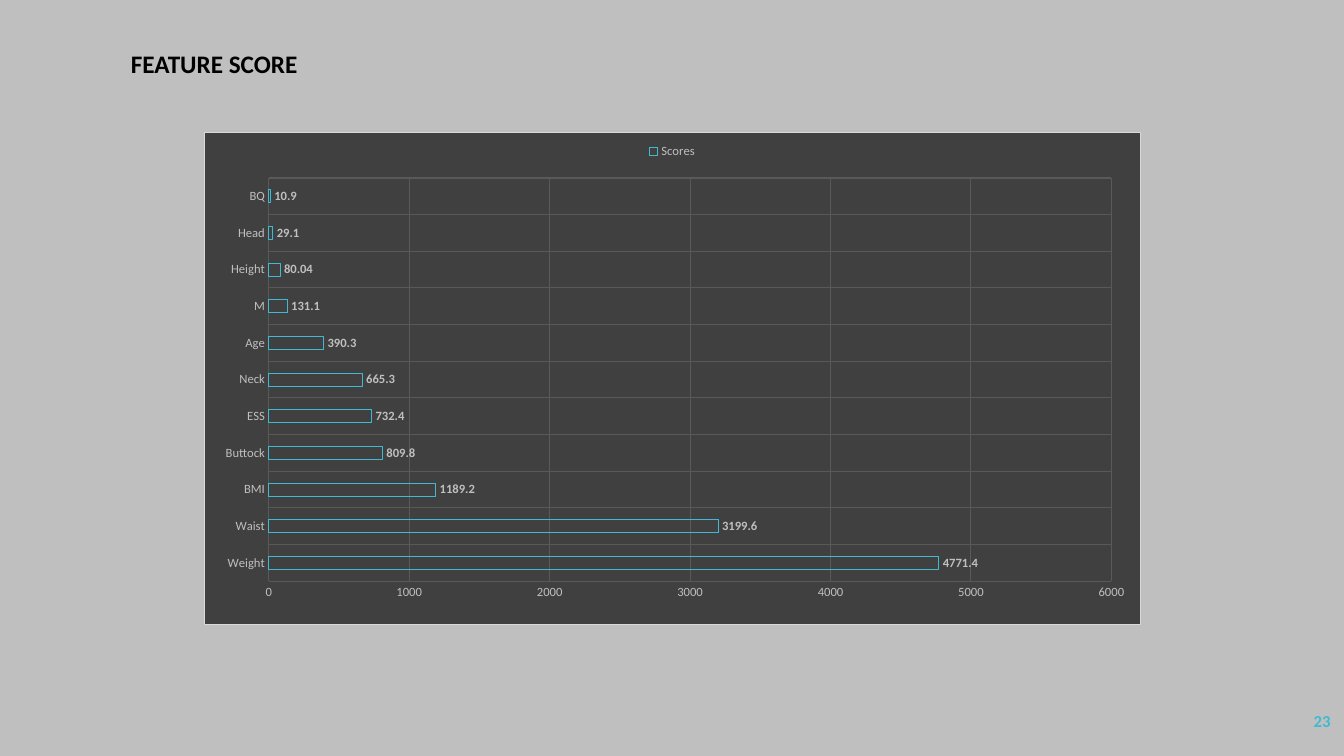
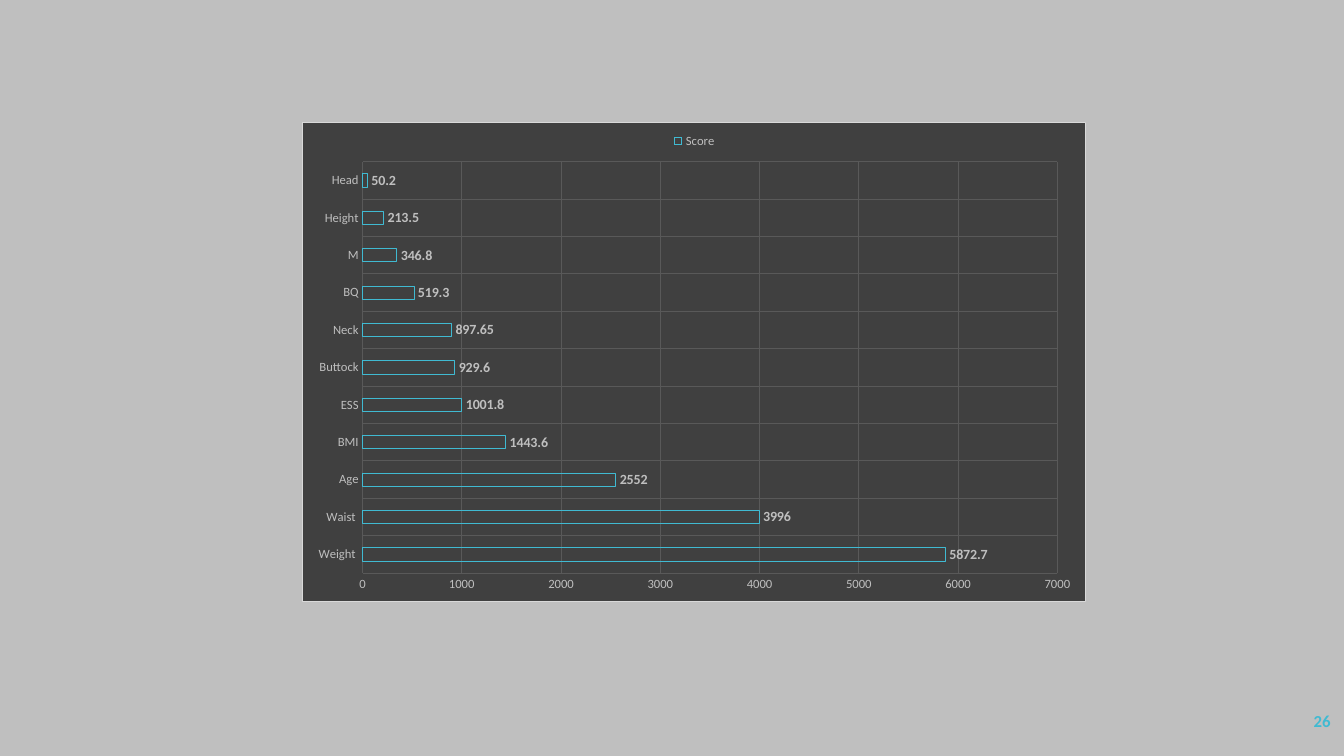
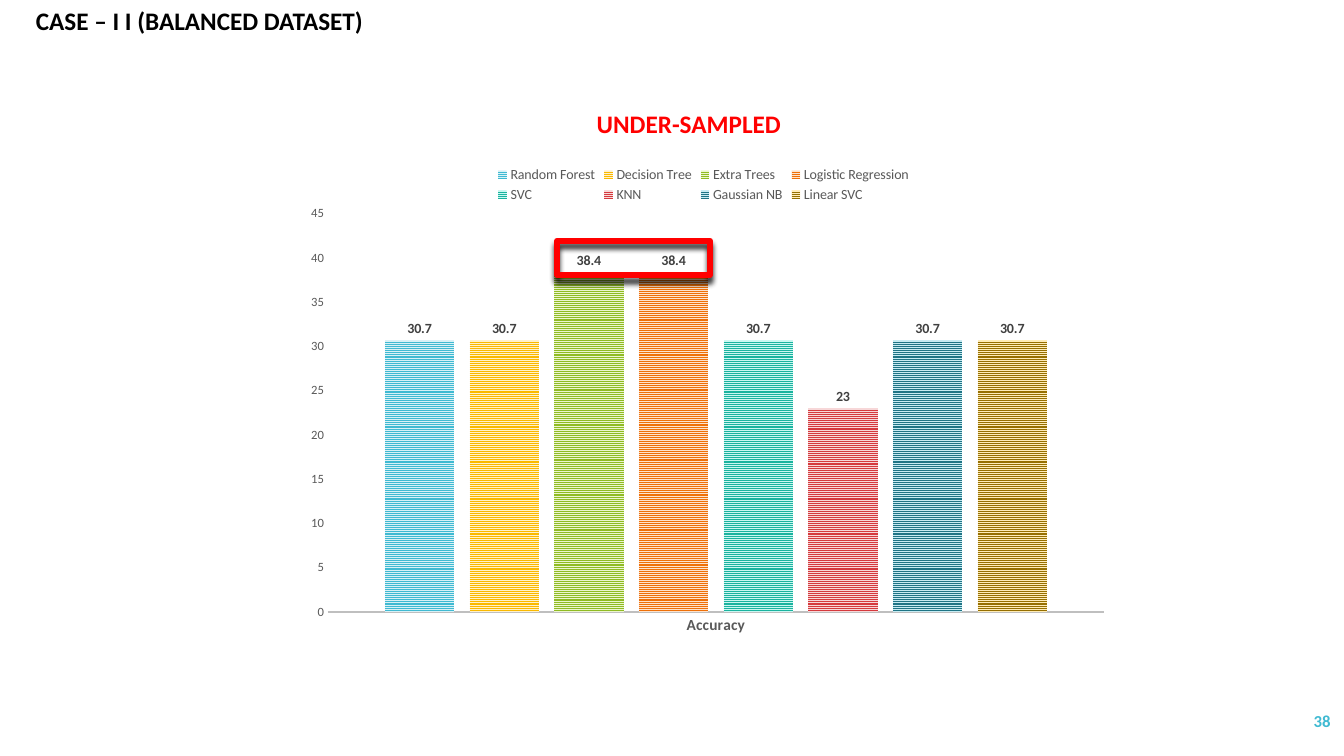
from pptx import Presentation
from pptx.chart.data import CategoryChartData
from pptx.dml.color import RGBColor
from pptx.enum.chart import XL_CHART_TYPE, XL_LABEL_POSITION, XL_LEGEND_POSITION, XL_TICK_MARK
from pptx.enum.dml import MSO_PATTERN
from pptx.enum.shapes import MSO_SHAPE
from pptx.enum.text import MSO_ANCHOR, PP_ALIGN
from pptx.oxml import parse_xml
from pptx.oxml.ns import nsdecls, qn
from pptx.util import Pt

FONT = "Calibri"
COLORS = {
    "black": "000000", "white": "FFFFFF", "red": "FF0000", "accent": "40BAD2",
    "backdrop": "BFBFBF", "panel": "404040", "panel_edge": "D9D9D9",
    "grid": "595959", "light_text": "BFBFBF", "dark_text": "595959",
    "label": "404040", "axis": "BFBFBF",
}
PAGE_NUMBER_BOX = (837.5, 500.5, 120, 29)

SCORES = [("Weight", 4771.4), ("Waist", 3199.6), ("BMI", 1189.2), ("Buttock", 809.8),
          ("ESS", 732.4), ("Neck", 665.3), ("Age", 390.3), ("M", 131.1),
          ("Height", 80.04), ("Head", 29.1), ("BQ", 10.9)]
BALANCED_SCORES = [("Weight ", 5872.7), ("Waist ", 3996), ("Age", 2552), ("BMI", 1443.6),
                   ("ESS", 1001.8), ("Buttock", 929.6), ("Neck", 897.65), ("BQ", 519.3),
                   ("M", 346.8), ("Height", 213.5), ("Head", 50.2)]
# Classifier, accuracy, stripe colour, colour between stripes
ACCURACIES = [
    ("Random Forest", 30.7, "40BAD2", "D9F1F6"),
    ("Decision Tree", 30.7, "FAB900", "FFF1CB"),
    ("Extra Trees", 38.4, "90BB23", "EBF6CE"),
    ("Logistic Regression", 38.4, "EE7008", "FDE2CC"),
    ("SVC", 30.7, "1AB39F", "CAF7F1"),
    ("KNN", 23, "D5393D", "F7D7D8"),
    ("Gaussian NB", 30.7, "1F7485", "C7EBF2"),
    ("Linear SVC", 30.7, "966F00", "FFECB7"),
]


def rgb(color):
    return RGBColor.from_string(COLORS.get(color, color))


def points(box):
    return [Pt(length) for length in box]


def set_font(font, size, color, bold=False):
    font.name, font.size, font.bold = FONT, Pt(size), bold
    font.color.rgb = rgb(color)


def add_text(slide, box, text, size=18, color="black", bold=True,
             align=PP_ALIGN.CENTER, anchor=MSO_ANCHOR.TOP):
    frame = slide.shapes.add_textbox(*points(box)).text_frame
    frame.word_wrap = True
    frame.vertical_anchor = anchor
    paragraph = frame.paragraphs[0]
    paragraph.alignment = align
    run = paragraph.add_run()
    run.text = text
    set_font(run.font, size, color, bold)


def add_slide(presentation, background, number):
    slide = presentation.slides.add_slide(presentation.slide_layouts[6])
    slide.background.fill.solid()
    slide.background.fill.fore_color.rgb = rgb(background)
    add_text(slide, PAGE_NUMBER_BOX, str(number), size=12, color="accent",
             align=PP_ALIGN.RIGHT, anchor=MSO_ANCHOR.MIDDLE)
    return slide


def set_plot_layout(chart, x, y, width, height):
    """Fix the inner plot area, given as fractions of the chart."""
    plot_area = chart.element.find(qn("c:chart")).find(qn("c:plotArea"))
    for layout in plot_area.findall(qn("c:layout")):
        plot_area.remove(layout)
    plot_area.insert(0, parse_xml(
        f'<c:layout {nsdecls("c")}><c:manualLayout><c:layoutTarget val="inner"/>'
        f'<c:xMode val="edge"/><c:yMode val="edge"/><c:x val="{x}"/><c:y val="{y}"/>'
        f'<c:w val="{width}"/><c:h val="{height}"/></c:manualLayout></c:layout>'))


def set_chart_panel(chart):
    """Give the whole chart its dark fill and thin border."""
    chart.element.find(qn("c:chart")).addnext(parse_xml(
        f'<c:spPr {nsdecls("c", "a")}>'
        f'<a:solidFill><a:srgbClr val="{COLORS["panel"]}"/></a:solidFill>'
        f'<a:ln w="{Pt(0.75)}"><a:solidFill><a:srgbClr val="{COLORS["panel_edge"]}"/>'
        '</a:solidFill></a:ln></c:spPr>'))


def add_bar_chart(slide, box, chart_type, categories, series, gap, overlap, maximum, unit,
                  text_color, legend_size, label_size, label_color, layout=None):
    """Add a clustered chart with value labels; series is a list of (name, values)."""
    data = CategoryChartData()
    data.categories = categories
    for name, values in series:
        data.add_series(name, values)
    chart = slide.shapes.add_chart(chart_type, *points(box), data).chart
    set_font(chart.font, 10, "black")
    chart.has_title = False
    chart.has_legend = True
    chart.legend.position = XL_LEGEND_POSITION.TOP
    chart.legend.include_in_layout = False
    set_font(chart.legend.font, legend_size, text_color)

    for axis in (chart.category_axis, chart.value_axis):
        axis.major_tick_mark = axis.minor_tick_mark = XL_TICK_MARK.NONE
        axis.has_major_gridlines = False
        axis.format.line.fill.background()
        set_font(axis.tick_labels.font, 9, text_color)
    chart.value_axis.minimum_scale = 0
    chart.value_axis.maximum_scale = maximum
    chart.value_axis.major_unit = unit

    plot = chart.plots[0]
    plot.vary_by_categories = False
    plot.gap_width, plot.overlap = gap, overlap
    for bars in plot.series:
        bars.invert_if_negative = False
        labels = bars.data_labels
        labels.show_value = True
        labels.position = XL_LABEL_POSITION.OUTSIDE_END
        set_font(labels.font, label_size, label_color, bold=True)
    if layout:
        set_plot_layout(chart, *layout)
    return chart


def add_score_chart(slide, box, name, scores, maximum, label_size, layout=None):
    categories, values = zip(*scores)
    chart = add_bar_chart(
        slide, box, XL_CHART_TYPE.BAR_CLUSTERED, categories, [(name, values)],
        gap=182, overlap=-50, maximum=maximum, unit=1000, text_color="light_text",
        legend_size=9, label_size=label_size, label_color="light_text", layout=layout)
    set_chart_panel(chart)
    for axis in (chart.category_axis, chart.value_axis):
        axis.has_major_gridlines = True
        grid = axis.major_gridlines.format.line
        grid.width = Pt(0.75)
        grid.color.rgb = rgb("grid")
    bars = chart.plots[0].series[0].format
    bars.fill.background()
    bars.line.width = Pt(0.75)
    bars.line.color.rgb = rgb("accent")


def add_accuracy_chart(slide, box):
    chart = add_bar_chart(
        slide, box, XL_CHART_TYPE.COLUMN_CLUSTERED, ["Accuracy"],
        [(name, [accuracy]) for name, accuracy, _, _ in ACCURACIES],
        gap=164, overlap=-22, maximum=45, unit=5, text_color="dark_text",
        legend_size=10, label_size=10, label_color="label",
        layout=(0.05, 0.12, 0.93, 0.82))
    set_font(chart.category_axis.tick_labels.font, 11, "dark_text", bold=True)
    axis_line = chart.category_axis.format.line
    axis_line.width = Pt(1.5)
    axis_line.color.rgb = rgb("axis")
    for bars, (_, _, stripe, ground) in zip(chart.plots[0].series, ACCURACIES):
        fill = bars.format.fill
        fill.patterned()
        fill.pattern = MSO_PATTERN.NARROW_HORIZONTAL
        fill.fore_color.rgb = rgb(stripe)
        fill.back_color.rgb = rgb(ground)


def add_highlight_frame(slide, box):
    frame = slide.shapes.add_shape(MSO_SHAPE.RECTANGLE, *points(box))
    frame.fill.background()
    frame.line.width = Pt(4.5)
    frame.line.color.rgb = rgb("red")
    frame.shadow.inherit = False
    effects = frame.element.spPr.find(qn("a:effectLst"))
    effects.append(parse_xml(
        f'<a:outerShdw {nsdecls("a")} blurRad="{Pt(4)}" dist="{Pt(4)}" dir="5400000" '
        f'rotWithShape="0"><a:srgbClr val="{COLORS["black"]}"><a:alpha val="80000"/>'
        '</a:srgbClr></a:outerShdw>'))


def build_feature_score(presentation):
    slide = add_slide(presentation, "backdrop", 23)
    add_score_chart(slide, (145.5, 94.5, 669.5, 352), "Scores", SCORES, maximum=6000,
                    label_size=9, layout=(0.069, 0.092, 0.9, 0.82))
    add_text(slide, (28, 31, 250, 29), "FEATURE SCORE")


def build_balanced_score(presentation):
    slide = add_slide(presentation, "backdrop", 26)
    add_score_chart(slide, (216, 87, 560, 343), "Score", BALANCED_SCORES, maximum=7000,
                    label_size=10)


def build_under_sampled(presentation):
    slide = add_slide(presentation, "white", 38)
    add_text(slide, (0, 0, 285, 29), "CASE – I I (BALANCED DATASET)")
    add_text(slide, (252, 74, 480, 29), "UNDER-SAMPLED", color="red")
    add_accuracy_chart(slide, (204.5, 111, 596, 347))
    add_highlight_frame(slide, (398, 172, 109, 24.5))


def main():
    presentation = Presentation()
    presentation.slide_width, presentation.slide_height = Pt(960), Pt(540)
    build_feature_score(presentation)
    build_balanced_score(presentation)
    build_under_sampled(presentation)
    presentation.save("out.pptx")


if __name__ == "__main__":
    main()
